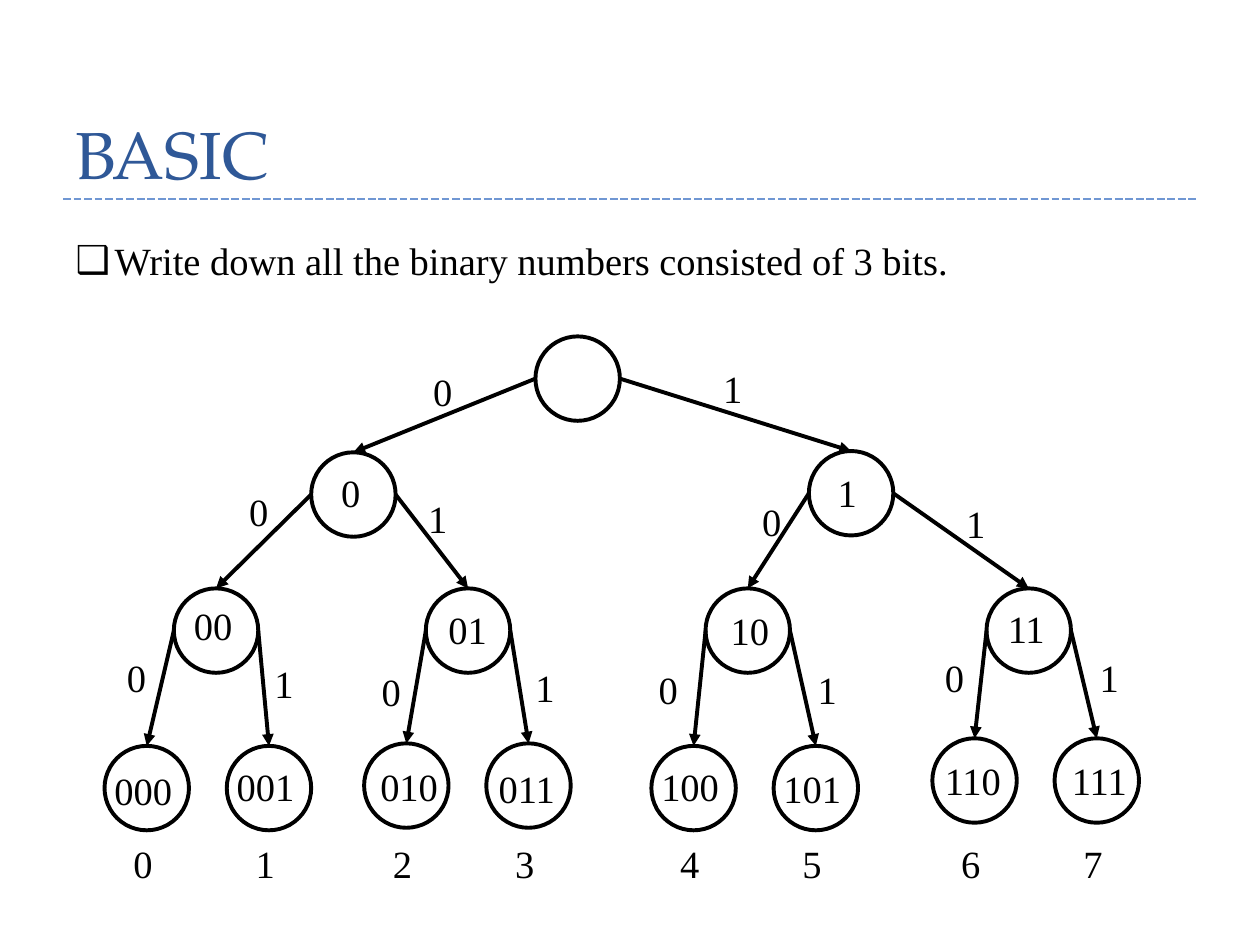
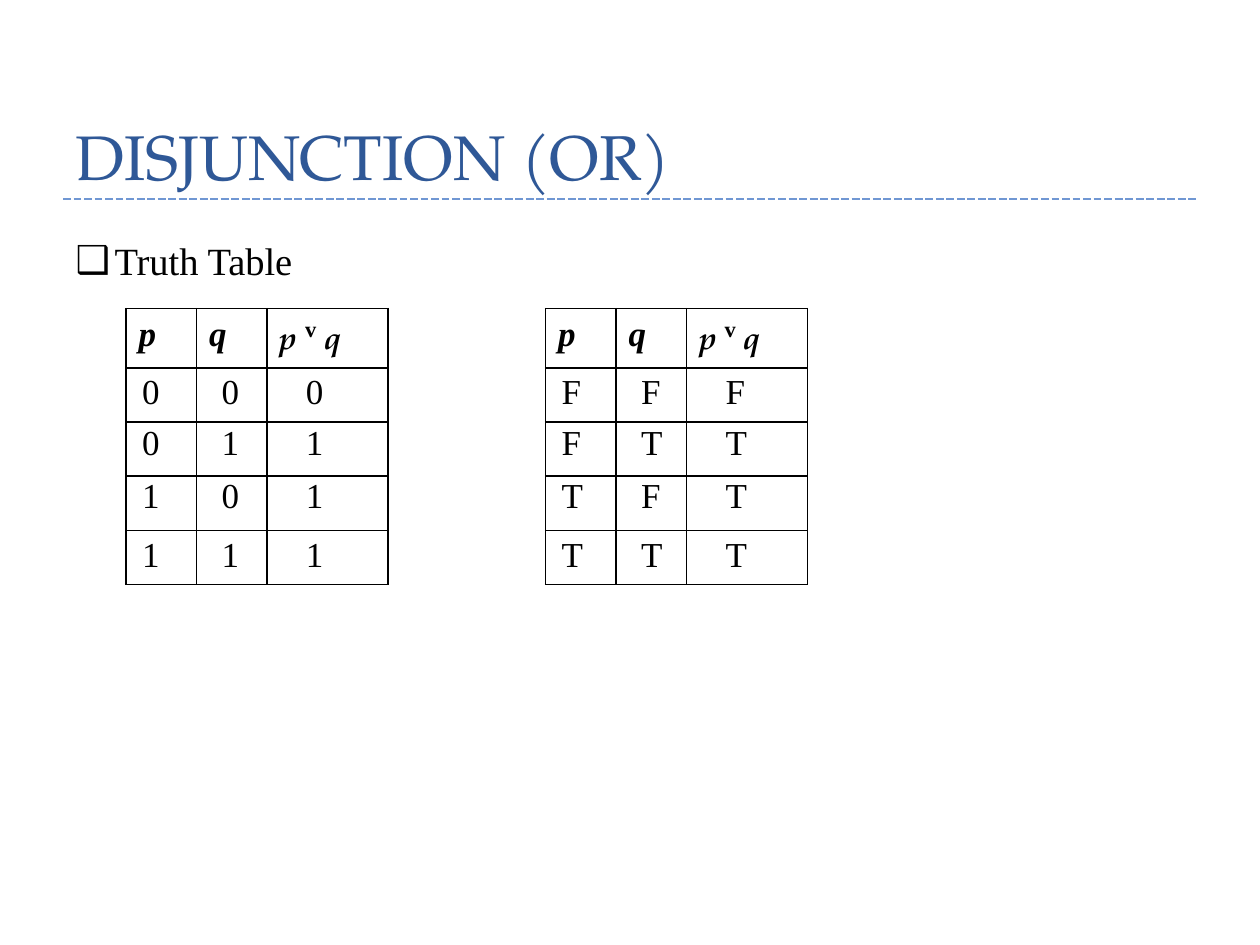
import lxml.etree
import pptx
import pptx.dml.color
import pptx.enum.dml
import pptx.enum.shapes
import pptx.enum.text
import pptx.oxml
import pptx.oxml.ns
import pptx.util

Inches = pptx.util.Inches
Pt = pptx.util.Pt
RGBColor = pptx.dml.color.RGBColor
ALIGN = pptx.enum.text.PP_ALIGN
AUTO_SIZE = pptx.enum.text.MSO_AUTO_SIZE
CONNECTOR = pptx.enum.shapes.MSO_CONNECTOR

TITLE_BLUE = RGBColor(0x2F, 0x58, 0x97)
RULE_BLUE = RGBColor(0x70, 0x97, 0xD3)
BLACK = RGBColor(0x00, 0x00, 0x00)
TITLE_FONT = "TeX Gyre Pagella"
TEXT_FONT = "Times New Roman"
BODY_SIZE = 22

NODE_SIZE = 0.67
ROOT = (3.75, 0.17)
# Bits: node corner, node label corner, edge label corner, inside the tree box
TREE = {
    "0": ((1.97, 1.09), (2.11, 1.17), (2.84, 0.37)),
    "1": ((5.92, 1.08), (6.05, 1.17), (5.14, 0.35)),
    "00": ((0.88, 2.17), (0.94, 2.23), (1.38, 1.32)),
    "01": ((2.88, 2.17), (2.96, 2.26), (2.80, 1.38)),
    "10": ((5.10, 2.17), (5.20, 2.27), (5.45, 1.40)),
    "11": ((7.33, 2.17), (7.40, 2.25), (7.07, 1.42)),
    "000": ((0.33, 3.42), (0.31, 3.54), (0.41, 2.64)),
    "001": ((1.30, 3.42), (1.28, 3.51), (1.58, 2.69)),
    "010": ((2.39, 3.40), (2.42, 3.51), (2.43, 2.75)),
    "011": ((3.36, 3.40), (3.36, 3.52), (3.65, 2.72)),
    "100": ((4.67, 3.42), (4.65, 3.51), (4.63, 2.74)),
    "101": ((5.64, 3.42), (5.62, 3.52), (5.89, 2.74)),
    "110": ((6.90, 3.36), (6.90, 3.46), (6.90, 2.64)),
    "111": ((7.87, 3.36), (7.91, 3.46), (8.13, 2.64)),
}
LEAF_NUMBER_INDENT = 0.13
LEAF_NUMBER_TOP = 4.12

COLUMN_WIDTHS = (0.56, 0.56, 0.96)
ROW_HEIGHTS = (0.47, 0.43, 0.43, 0.43, 0.43)
VALUE_LEFTS = (0.03, 0.66, 1.33)
VALUE_TOPS = (0.43, 0.84, 1.26, 1.73)
HEADER = (
    [("p", TEXT_FONT, 20, True)],
    [("q", TEXT_FONT, 20, True)],
    [("p ", TITLE_FONT, 18, True), ("v", TEXT_FONT, 22, False),
     (" q", TITLE_FONT, 18, True)],
)


def set_font(font, name, size, color=BLACK, **extra):
    values = {"name": name, "size": Pt(size), **extra}
    for attribute, value in values.items():
        setattr(font, attribute, value)
    font.color.rgb = color


def add_line(slide, start, end, color, width):
    line = slide.shapes.add_connector(
        CONNECTOR.STRAIGHT, *(Inches(value) for value in (*start, *end)))
    line.line.color.rgb = color
    line.line.width = Pt(width)
    lxml.etree.SubElement(line.element.spPr, pptx.oxml.ns.qn("a:effectLst"))
    return line


def add_arrow(slide, start, end):
    arrow = add_line(slide, start, end, BLACK, 2.25)
    lxml.etree.SubElement(arrow.line._get_or_add_ln(),
                          pptx.oxml.ns.qn("a:tailEnd"), type="triangle")


def add_label(slide, text, left, top, size=BODY_SIZE):
    """Add a one-line text box that fits its text."""
    width = 0.2 + len(text) * size / 144
    box = slide.shapes.add_textbox(
        Inches(left), Inches(top), Inches(width), Inches(0.17 + size / 74))
    frame = box.text_frame
    frame.word_wrap = False
    frame.auto_size = AUTO_SIZE.SHAPE_TO_FIT_TEXT
    frame.text = text
    set_font(frame.paragraphs[0].runs[0].font, TEXT_FONT, size)


def place(shape, left, top, width, height):
    box = {"left": left, "top": top, "width": width, "height": height}
    for attribute, value in box.items():
        setattr(shape, attribute, Inches(value))


def add_title_rule(slide):
    """Put the dashed rule on the layout that all slides share."""
    rule = add_line(slide, (0.5, 1.58), (9.5, 1.58), RULE_BLUE, 1.5)
    rule.line.dash_style = pptx.enum.dml.MSO_LINE.SQUARE_DOT
    slide.slide_layout.shapes.element.append(rule.element)


def fill_title(slide, text, size):
    title = slide.shapes.title
    place(title, 0.5, -0.17, 9, 1.75)
    frame = title.text_frame
    frame.text = text
    frame.auto_size = AUTO_SIZE.NONE
    frame.vertical_anchor = pptx.enum.text.MSO_ANCHOR.BOTTOM
    paragraph = frame.paragraphs[0]
    paragraph.alignment = ALIGN.LEFT
    paragraph.line_spacing = Pt(58)
    set_font(paragraph.runs[0].font, TITLE_FONT, size, TITLE_BLUE)


def fill_bullet(slide, text, width, alignment):
    body = slide.placeholders[1]
    place(body, 0.5, 1.83, width, 0.47)
    frame = body.text_frame
    frame.text = text
    frame.word_wrap = True
    frame.auto_size = AUTO_SIZE.NONE
    paragraph = frame.paragraphs[0]
    paragraph.alignment = alignment
    paragraph.space_before = Pt(0)
    properties = paragraph._p.get_or_add_pPr()
    properties.set("marL", str(Inches(0.31)))
    properties.set("indent", str(-Inches(0.31)))
    lxml.etree.SubElement(properties, pptx.oxml.ns.qn("a:buChar"), char="❑")
    set_font(paragraph.runs[0].font, TEXT_FONT, BODY_SIZE)


def add_slide(presentation, title, title_size, bullet, bullet_width, alignment):
    slide = presentation.slides.add_slide(presentation.slide_layouts[1])
    fill_title(slide, title, title_size)
    fill_bullet(slide, bullet, bullet_width, alignment)
    return slide


def add_node(slide, left, top):
    node = slide.shapes.add_shape(
        pptx.enum.shapes.MSO_SHAPE.OVAL, Inches(left), Inches(top),
        Inches(NODE_SIZE), Inches(NODE_SIZE))
    node.shadow.inherit = False
    node.fill.background()
    node.line.color.rgb = BLACK
    node.line.width = Pt(2.25)


def draw_binary_tree(slide, left, top):
    def shift(point):
        return left + point[0], top + point[1]

    corners = {"": shift(ROOT)}
    corners.update((bits, shift(points[0])) for bits, points in TREE.items())
    for corner in corners.values():
        add_node(slide, *corner)

    for bits, (_, label, edge_label) in TREE.items():
        parent_left, parent_top = corners[bits[:-1]]
        child_left, child_top = corners[bits]
        side = NODE_SIZE if bits[-1] == "1" else 0
        add_arrow(slide, (parent_left + side, parent_top + NODE_SIZE / 2),
                  (child_left + NODE_SIZE / 2, child_top))
        add_label(slide, bits[-1], *shift(edge_label))
        add_label(slide, bits, *shift(label))
        if len(bits) == 3:
            add_label(slide, str(int(bits, 2)),
                      child_left + LEAF_NUMBER_INDENT, top + LEAF_NUMBER_TOP)


def format_cell(cell):
    """Clear the fill and draw a thin black border on every side."""
    cell.fill.background()
    properties = cell._tc.get_or_add_tcPr()
    for index, side in enumerate("LRTB"):
        properties.insert(index, pptx.oxml.parse_xml(
            f'<a:ln{side} {pptx.oxml.ns.nsdecls("a")} w="{Pt(1)}"><a:solidFill>'
            f'<a:srgbClr val="{BLACK}"/></a:solidFill></a:ln{side}>'))


def fill_header_cell(cell, pieces):
    paragraph = cell.text_frame.paragraphs[0]
    for text, name, size, italic in pieces:
        run = paragraph.add_run()
        run.text = text
        set_font(run.font, name, size, bold=True, italic=italic)
        if text == "v":
            run.font._element.set("baseline", "30000")


def draw_truth_table(slide, left, top, false_mark, true_mark):
    frame = slide.shapes.add_table(
        len(ROW_HEIGHTS), len(COLUMN_WIDTHS), Inches(left), Inches(top),
        Inches(sum(COLUMN_WIDTHS)), Inches(sum(ROW_HEIGHTS)))
    table = frame.table
    table.first_row = False
    table.horz_banding = False
    for column, width in zip(table.columns, COLUMN_WIDTHS):
        column.width = Inches(width)
    for row, height in zip(table.rows, ROW_HEIGHTS):
        row.height = Inches(height)
    for cell in table.iter_cells():
        format_cell(cell)
    for cell, pieces in zip(table.rows[0].cells, HEADER):
        fill_header_cell(cell, pieces)

    marks = (false_mark, true_mark)
    for number, value_top in enumerate(VALUE_TOPS):
        p, q = divmod(number, 2)
        for value, value_left in zip((p, q, p | q), VALUE_LEFTS):
            add_label(slide, marks[value], left + value_left,
                      top + value_top, 20)


def main():
    presentation = pptx.Presentation()
    presentation.slide_width = Inches(10)
    presentation.slide_height = Inches(7.5)

    basic = add_slide(
        presentation, "BASIC", 38,
        "Write down all the binary numbers consisted of 3 bits.", 9,
        ALIGN.JUSTIFY)
    add_title_rule(basic)
    draw_binary_tree(basic, 0.5, 2.5)

    disjunction = add_slide(presentation, "DISJUNCTION (OR)", 36,
                            "Truth Table", 1.95, ALIGN.LEFT)
    draw_truth_table(disjunction, 1, 2.45, "0", "1")
    draw_truth_table(disjunction, 4.33, 2.45, "F", "T")

    presentation.save("out.pptx")


if __name__ == "__main__":
    main()
